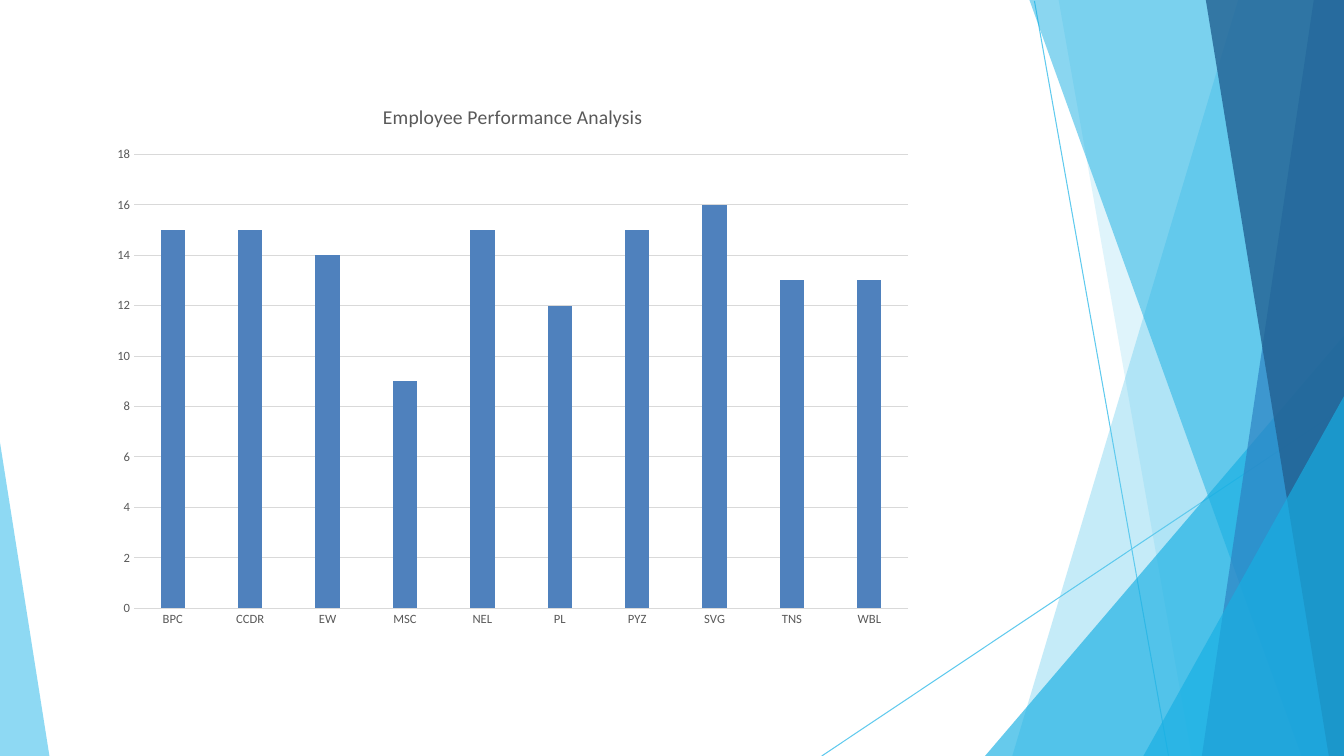
from lxml.etree import SubElement
from pptx import Presentation
from pptx.chart.data import CategoryChartData
from pptx.dml.color import RGBColor
from pptx.enum.chart import XL_CHART_TYPE as ChartType, XL_TICK_MARK as TickMark
from pptx.enum.shapes import MSO_CONNECTOR as Connector
from pptx.oxml.ns import qn
from pptx.util import Inches, Pt

SKY = RGBColor(0x5F, 0xCA, 0xEE)
CYAN = RGBColor(0x17, 0xAF, 0xE3)
BLUE = RGBColor(0x2D, 0x83, 0xC3)
NAVY = RGBColor(0x22, 0x61, 0x92)
BAR = RGBColor(0x4F, 0x81, 0xBD)
GRID = RGBColor(0xD9, 0xD9, 0xD9)
GREY = RGBColor(0x59, 0x59, 0x59)
FONT = "Calibri"
W, H = 13.33, 7.5

RAYS = [((10.26, 0.01), (11.59, H)), ((W, 4.04), (8.15, H))]
FACETS = [
    ([(W, 0), (12.28, 0), (10.04, H), (W, H)], SKY, 36),
    ([(W, 0), (10.5, 0), (11.82, H), (W, H)], SKY, 20),
    ([(W, 3.33), (9.77, H), (W, H)], CYAN, 66),
    ([(W, 0), (10.21, 0), (12.91, H), (W, H)], CYAN, 50),
    ([(W, 0), (13.03, 0), (11.92, H), (W, H)], BLUE, 70),
    ([(W, 0), (11.96, 0), (13.18, H), (W, H)], NAVY, 80),
    ([(W, 3.93), (11.34, H), (W, H)], CYAN, 66),
    ([(0, 4.39), (0, H), (0.49, H)], SKY, 70),
]
SCORES = {"BPC": 15, "CCDR": 15, "EW": 14, "MSC": 9, "NEL": 15,
          "PL": 12, "PYZ": 15, "SVG": 16, "TNS": 13, "WBL": 13}


def format_font(font, size, color, bold=False):
    """Set the typeface, size, colour and weight of a font."""
    font.name, font.size, font.bold = FONT, Pt(size), bold
    font.color.rgb = color


def set_text(tf, text, **fmt):
    """Write one formatted run into a text frame."""
    r = tf.paragraphs[0].add_run()
    r.text = text
    format_font(r.font, **fmt)


def format_line(line, color, width=0.75):
    """Give a line its colour and width."""
    line.color.rgb = color
    line.width = Pt(width)


def add_ray(s, start, end):
    """Draw a thin straight line between two points."""
    ray = s.shapes.add_connector(Connector.STRAIGHT, *map(Inches, start + end))
    format_line(ray.line, SKY)
    SubElement(ray._element.spPr, qn("a:effectLst"))


def add_facet(s, points, color, opacity):
    """Draw a translucent polygon without an outline."""
    corners = [(Inches(x), Inches(y)) for x, y in points]
    builder = s.shapes.build_freeform(*corners[0], scale=1.0)
    builder.add_line_segments(corners[1:], close=True)
    sp = builder.convert_to_shape()
    sp.shadow.inherit = False
    sp.line.fill.background()
    sp.fill.solid()
    sp.fill.fore_color.rgb = color
    clr = sp._element.spPr.find(qn("a:solidFill"))[0]
    SubElement(clr, qn("a:alpha"), val=str(opacity * 1000))


def format_axis(axis):
    """Remove tick marks and style the labels of an axis."""
    axis.major_tick_mark = axis.minor_tick_mark = TickMark.NONE
    format_font(axis.tick_labels.font, size=9, color=GREY)


def add_score_chart(s, title, scores):
    """Add the column chart of scores with its title."""
    data = CategoryChartData()
    data.categories = list(scores)
    data.add_series("Series 1", list(scores.values()))
    box = map(Inches, (1, 0.83, 8.17, 5.5))
    chart = s.shapes.add_chart(ChartType.COLUMN_CLUSTERED, *box, data).chart
    chart.font.name, chart.font.size = FONT, Pt(10)
    chart.has_legend = False
    set_text(chart.chart_title.text_frame, title, size=14, color=GREY)
    chart.chart_title.include_in_layout = False

    plot = chart.plots[0]
    plot.gap_width, plot.overlap = 219, -27
    plot.vary_by_categories = False
    fill = plot.series[0].format.fill
    fill.solid()
    fill.fore_color.rgb = BAR

    for axis in (chart.category_axis, chart.value_axis):
        format_axis(axis)
    format_line(chart.category_axis.format.line, GRID)
    values = chart.value_axis
    values.minimum_scale, values.maximum_scale, values.major_unit = 0, 18, 2
    values.format.line.fill.background()
    format_line(values.major_gridlines.format.line, GRID)


def main():
    """Build the slide and save it."""
    prs = Presentation()
    prs.slide_width, prs.slide_height = Inches(W), Inches(H)
    s = prs.slides.add_slide(prs.slide_layouts[6])
    for start, end in RAYS:
        add_ray(s, start, end)
    for points, color, opacity in FACETS:
        add_facet(s, points, color, opacity)
    add_score_chart(s, "Employee Performance Analysis", SCORES)
    prs.save("out.pptx")


if __name__ == "__main__":
    main()
